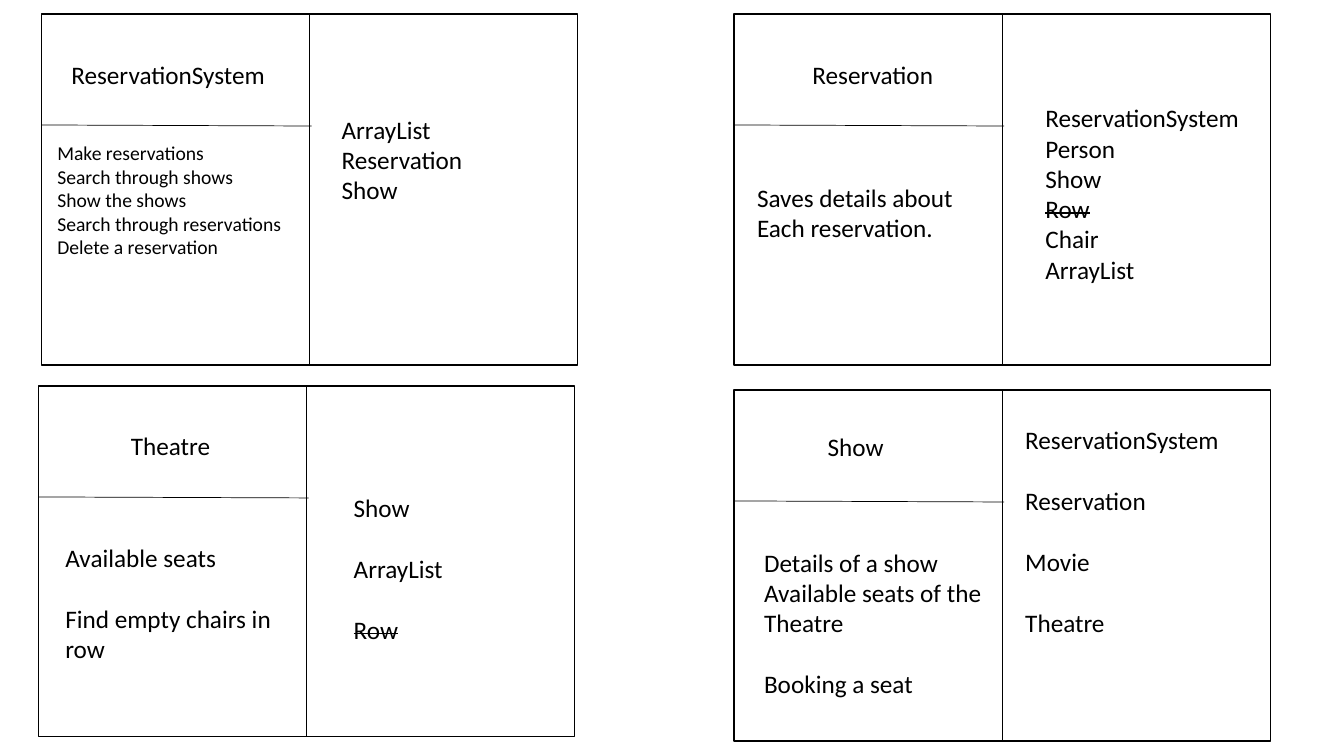
"""Build a slide of four class-responsibility-collaborator cards."""
from lxml import etree
from pptx import Presentation
from pptx import util as u
from pptx.dml.color import RGBColor
from pptx.enum import shapes, text
from pptx.oxml import ns

COLORS = {"ink": "000000", "paper": "FFFFFF"}
FONT = "Calibri"
CARD_W, CARD_H = 5.32, 3.48
DIVIDER_X, HEADER_Y = 2.66, 1.1
HEADER_OVERHANG, HEADER_DROP = 0.02, 0.01
BLANK_LINE = 22

CARDS = [
    {"corner": (0.41, 0.14),
     "name": {"at": (0.61, 0.54, 2.33, 0.4), "lines": ["ReservationSystem"]},
     "duties": {"at": (0.47, 1.35, 2.45, 1.28), "size": 14,
                "lines": ["Make reservations", "Search through shows", "Show the shows",
                          "Search through reservations", "Delete a reservation"]},
     "partners": {"at": (3.29, 1.08, 2.25, 1.01),
                  "lines": ["ArrayList", "Reservation", "Show"]}},
    {"corner": (7.28, 0.14),
     "name": {"at": (7.96, 0.54, 1.41, 0.4), "lines": ["Reservation"]},
     "duties": {"at": (7.41, 1.76, 2.45, 0.71),
                "lines": ["Saves details about ", "Each reservation."]},
     "partners": {"at": (10.27, 0.97, 2.17, 1.92), "struck": ["Row"],
                  "lines": ["ReservationSystem", "Person", "Show", "Row", "Chair",
                            "ArrayList"]}},
    {"corner": (0.38, 3.83),
     "name": {"at": (1.2, 4.22, 1.03, 0.4), "lines": ["Theatre"]},
     "duties": {"at": (0.55, 5.33, 2.39, 1.31), "spaced": ["Find empty chairs in row"],
                "lines": ["Available seats ", "Find empty chairs in row"]},
     "partners": {"at": (3.41, 4.83, 2.14, 1.62), "struck": ["Row"],
                  "spaced": ["ArrayList", "Row"],
                  "lines": ["Show", "ArrayList", "Row"]}},
    {"corner": (7.28, 3.87),
     "name": {"at": (8.11, 4.23, 0.83, 0.4), "lines": ["Show"]},
     "duties": {"at": (7.48, 5.38, 2.37, 1.62), "spaced": ["Booking a seat"],
                "lines": ["Details of a show", "Available seats of the Theatre ",
                          "Booking a seat"]},
     "partners": {"at": (10.07, 4.16, 2.42, 2.83),
                  "spaced": ["Reservation", "Movie", "Theatre"],
                  "lines": ["ReservationSystem", "Reservation", "Movie", "Theatre"]}},
]


def color(key):
    return RGBColor.from_string(COLORS[key])


def add_text(slide, lines, at, size=18, spaced=(), struck=()):
    frame = slide.shapes.add_textbox(*map(u.Inches, at)).text_frame
    frame.word_wrap = True
    frame.auto_size = text.MSO_AUTO_SIZE.SHAPE_TO_FIT_TEXT
    for index, line in enumerate(lines):
        paragraph = frame.add_paragraph() if index else frame.paragraphs[0]
        if line in spaced:
            paragraph.space_before = u.Pt(BLANK_LINE)
        run = paragraph.add_run()
        run.text = line
        run.font.name = FONT
        run.font.size = u.Pt(size)
        run.font.color.rgb = color("ink")
        if line in struck:
            run._r.get_or_add_rPr().set("strike", "sngStrike")


def add_rule(group, *ends):
    rule = group.shapes.add_connector(shapes.MSO_CONNECTOR.STRAIGHT, *map(u.Inches, ends))
    rule.line.color.rgb = color("ink")
    rule.line.width = u.Pt(0.5)
    etree.SubElement(rule._element.spPr, ns.qn("a:effectLst"))


def add_card(slide, left, top):
    group = slide.shapes.add_group_shape()
    frame = group.shapes.add_shape(shapes.MSO_SHAPE.RECTANGLE,
                                   *map(u.Inches, (left, top, CARD_W, CARD_H)))
    frame.shadow.inherit = False
    frame.fill.background()
    frame.line.color.rgb = color("ink")
    frame.line.width = u.Pt(1)
    divider, header = left + DIVIDER_X, top + HEADER_Y
    add_rule(group, divider, top, divider, top + CARD_H)
    add_rule(group, left, header, divider + HEADER_OVERHANG, header + HEADER_DROP)


deck = Presentation()
deck.slide_width, deck.slide_height = u.Inches(13.33), u.Inches(7.5)
slide = deck.slides.add_slide(deck.slide_layouts[6])
slide.background.fill.solid()
slide.background.fill.fore_color.rgb = color("paper")

for card in CARDS:
    add_card(slide, *card["corner"])
    for part in ("name", "duties", "partners"):
        add_text(slide, **card[part])

deck.save("out.pptx")
